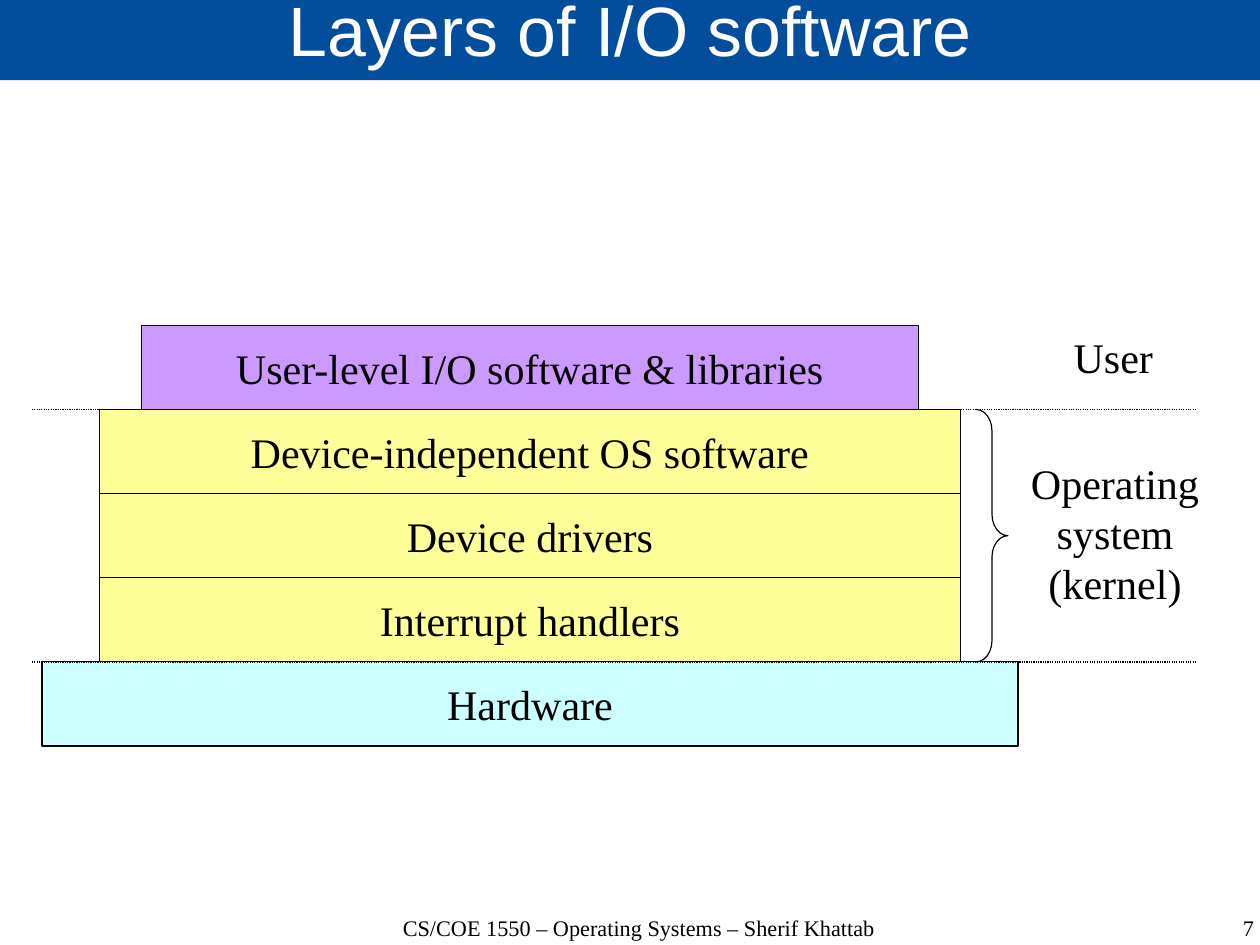
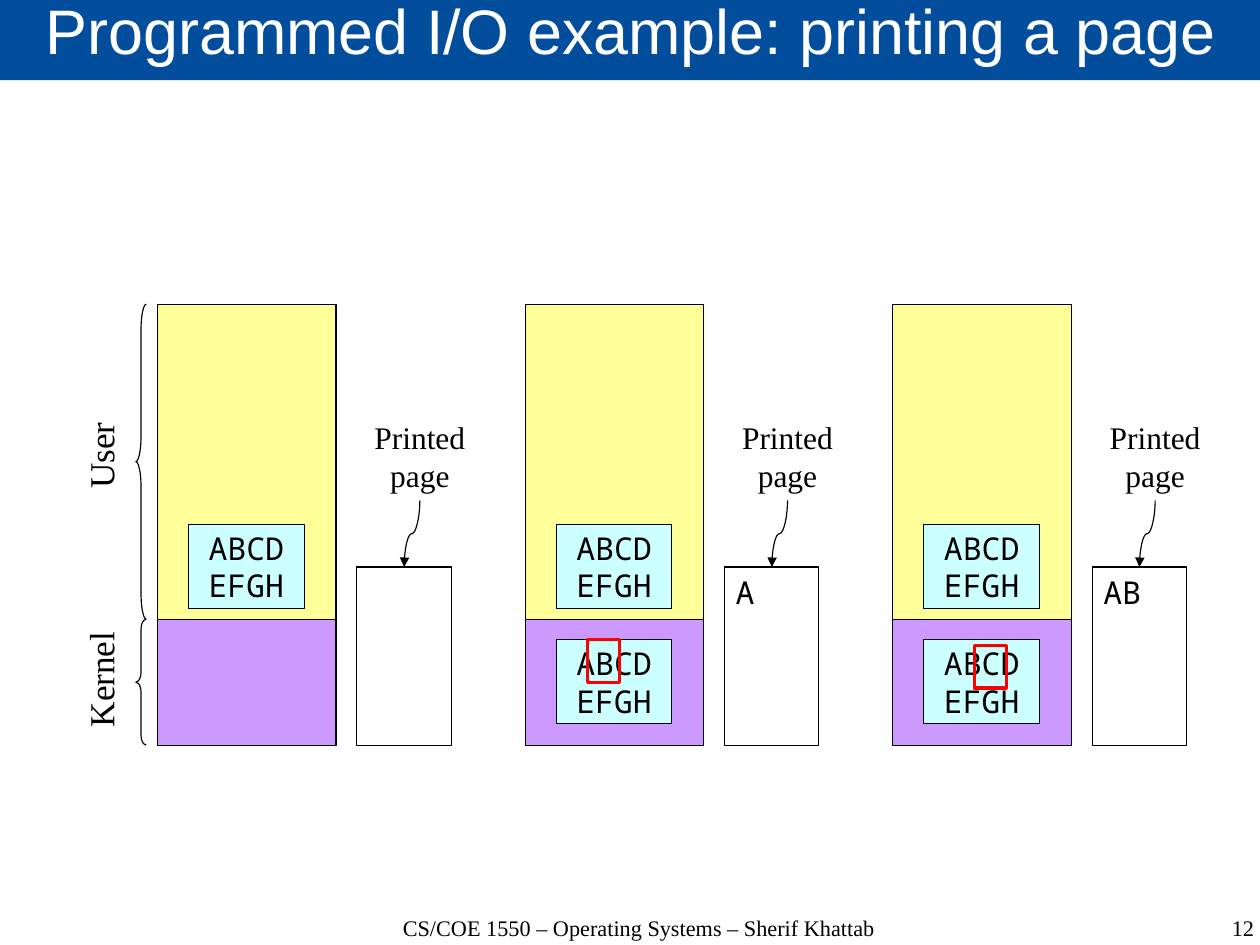
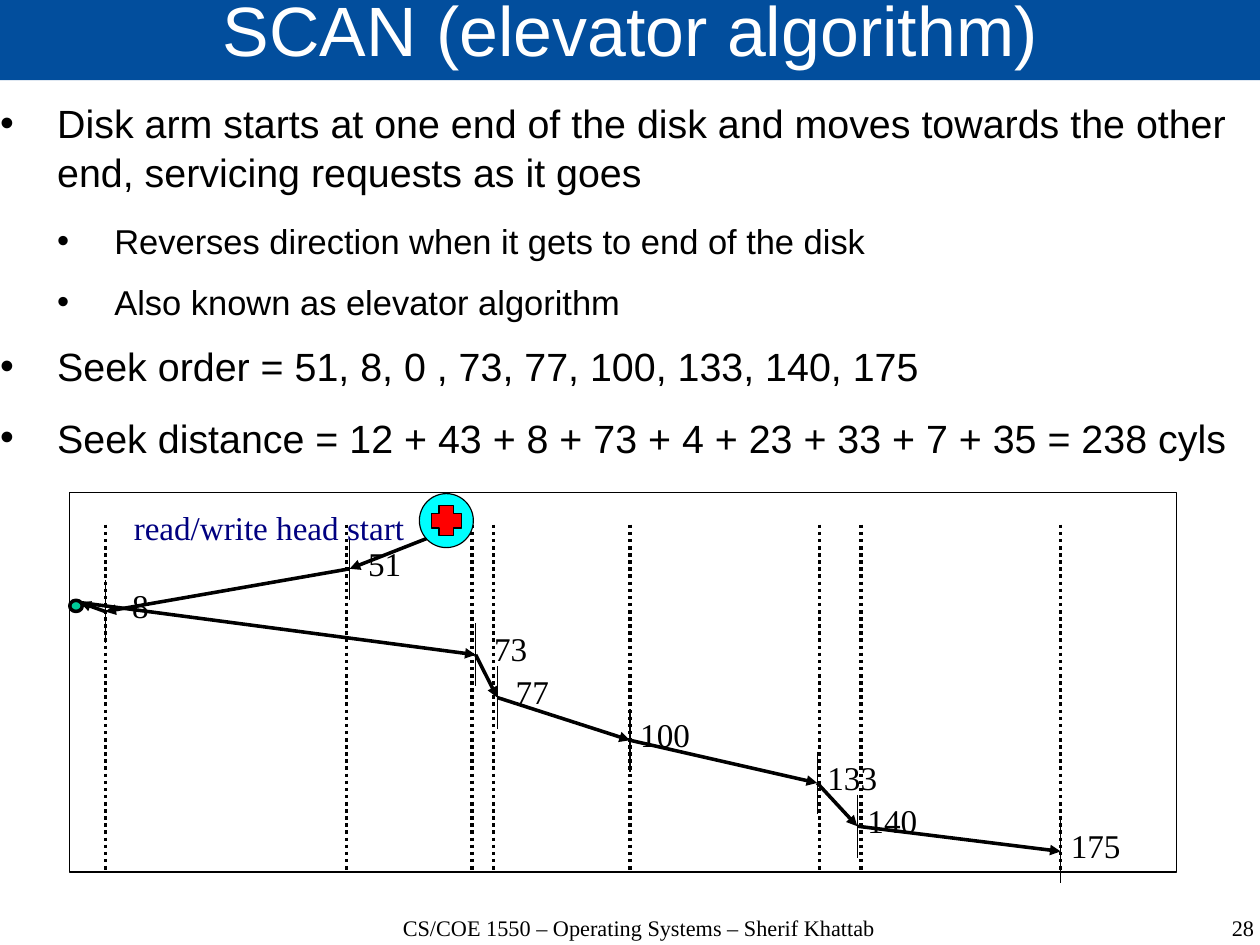
from lxml import etree
from pptx import Presentation
from pptx import util as u
from pptx.dml import color
from pptx.enum import dml, shapes, text
from pptx.oxml import ns

Cm, Pt = u.Cm, u.Pt
SHAPE = shapes.MSO_SHAPE
ALIGN = text.PP_ALIGN
ANCHOR = text.MSO_ANCHOR

BLUE, WHITE, BLACK, NAVY = "024E9D", "FFFFFF", "000000", "000080"
PURPLE, YELLOW, PALE_CYAN = "CC99FF", "FFFF99", "CCFFFF"
RED, CYAN, GREEN = "FF0000", "00FFFF", "00CC99"
SANS, SERIF, MONO = "Arial", "Times New Roman", "Noto Sans Mono"
FOOTER = "CS/COE 1550 – Operating Systems – Sherif Khattab"

LAYERS = [
    ("User-level I/O software & libraries", 17.27, PURPLE),
    ("Device-independent OS software", 19.13, YELLOW),
    ("Device drivers", 19.13, YELLOW),
    ("Interrupt handlers", 19.13, YELLOW),
    ("Hardware", 21.69, PALE_CYAN),
]
LAYER_CENTER, LAYER_TOP, LAYER_HEIGHT = 11.78, 7.23, 1.87

MEMORY = [("User", YELLOW, 6.76, 7, 2.5, 11.57), ("Kernel", PURPLE, 13.76, 2.8, 1, 16.5)]
BUFFER = "ABCD\nEFGH"
STAGES = [("", None), ("A", (1.39, 14.22)), ("AB", (1.81, 14.35))]
STAGE_LEFT, STAGE_PITCH = 3.5, 8.17

BULLETS = [
    (0, "Disk arm starts at one end of the disk and moves towards the other end, "
        "servicing requests as it goes"),
    (1, "Reverses direction when it gets to end of the disk"),
    (1, "Also known as elevator algorithm"),
    (0, "Seek order = 51, 8, 0 , 73, 77, 100, 133, 140, 175"),
    (0, "Seek distance = 12 + 43 + 8 + 73 + 4 + 23 + 33 + 7 + 35 = 238 cyls"),
]
BULLET_STYLES = [(24.8, 14.2), (21.7, 11.4)]
CYLINDER_LINES = [2.34, 7.7, 10.49, 10.97, 14, 18.21, 19.13, 23.57]
REQUESTS = [
    ("51", 7.77, 12.64), ("8", 2.34, 13.59), ("73", 10.57, 14.55), ("77", 11.05, 15.5),
    ("100", 14, 16.45), ("133", 18.16, 17.4), ("140", 19.05, 18.36), ("175", 23.57, 18.92),
]
HEAD_START, DISK_END = (9.5, 11.96), (1.78, 13.39)


def rgb(value):
    return color.RGBColor.from_string(value)


def box(left, top, width, height):
    return Cm(left), Cm(top), Cm(width), Cm(height)


def style(paragraph, size, font=SERIF, ink=BLACK, align=ALIGN.CENTER, spacing=None):
    paragraph.alignment = align
    if spacing:
        paragraph.line_spacing = spacing
    paragraph.font.size = Pt(size)
    paragraph.font.name = font
    paragraph.font.color.rgb = rgb(ink)


def set_frame(frame, wrap=True, anchor=ANCHOR.TOP, inset=None):
    frame.word_wrap = wrap
    frame.auto_size = text.MSO_AUTO_SIZE.NONE
    frame.vertical_anchor = anchor
    if inset is not None:
        frame.margin_left = frame.margin_right = Cm(inset)
        frame.margin_top = frame.margin_bottom = Cm(inset)


def add_label(slide, content, center, top, size, width=2, height=1.2, rotation=0, ink=BLACK):
    shape = slide.shapes.add_textbox(*box(center - width / 2, top, width, height))
    shape.rotation = rotation
    set_frame(shape.text_frame, wrap=False)
    paragraph = shape.text_frame.paragraphs[0]
    paragraph.text = content
    style(paragraph, size, ink=ink)


def add_shape(slide, kind, bounds, fill=None, line=BLACK, width=0.75, adjust=()):
    shape = slide.shapes.add_shape(kind, *box(*bounds))
    shape.shadow.inherit = False
    if fill:
        shape.fill.solid()
        shape.fill.fore_color.rgb = rgb(fill)
    else:
        shape.fill.background()
    shape.line.color.rgb = rgb(line)
    shape.line.width = Pt(width)
    for index, value in enumerate(adjust):
        shape.adjustments[index] = value
    return shape


def add_text_box(slide, bounds, fill, content, size, font, align=ALIGN.CENTER, anchor=ANCHOR.MIDDLE):
    shape = add_shape(slide, SHAPE.RECTANGLE, bounds, fill)
    if content:
        set_frame(shape.text_frame, anchor=anchor)
        paragraph = shape.text_frame.paragraphs[0]
        paragraph.text = content
        style(paragraph, size, font, align=align)


def add_line(slide, start, end, width=0.75, dotted=False, arrow=False,
             kind=shapes.MSO_CONNECTOR.STRAIGHT):
    connector = slide.shapes.add_connector(kind, *map(Cm, start + end))
    connector.line.color.rgb = rgb(BLACK)
    connector.line.width = Pt(width)
    if dotted:
        connector.line.dash_style = dml.MSO_LINE.ROUND_DOT
    properties = connector.element.spPr
    if arrow:
        etree.SubElement(properties.find(ns.qn("a:ln")), ns.qn("a:tailEnd"), type="triangle")
    etree.SubElement(properties, ns.qn("a:effectLst"))
    return connector


def add_falling_curve(slide, start, end):
    (x1, y1), (x2, y2) = start, end
    center_x, center_y = (x1 + x2) / 2, (y1 + y2) / 2
    half_length, half_shift = (y2 - y1) / 2, (x1 - x2) / 2
    curve = add_line(slide, (center_x - half_length, center_y - half_shift),
                     (center_x + half_length, center_y + half_shift),
                     arrow=True, kind=shapes.MSO_CONNECTOR.CURVE)
    curve.element.spPr.find(ns.qn("a:xfrm")).set("rot", "5400000")


def add_slide(presentation, title, number, size=44, layout=5):
    slide = presentation.slides.add_slide(presentation.slide_layouts[layout])
    shape = slide.shapes.title
    shape.left, shape.top, shape.width, shape.height = box(0, -0.05, 28.04, 1.83)
    shape.fill.solid()
    shape.fill.fore_color.rgb = rgb(BLUE)
    set_frame(shape.text_frame, anchor=ANCHOR.MIDDLE, inset=0)
    shape.text_frame.text = title
    style(shape.text_frame.paragraphs[0], size, SANS, WHITE, spacing=0.69)
    for content, left, width, align in [
        (FOOTER, 7.8, 12.8, ALIGN.CENTER),
        (str(number), 21.44, 6.43, ALIGN.RIGHT),
    ]:
        footer = slide.shapes.add_textbox(*box(left, 20.35, width, 0.65))
        set_frame(footer.text_frame, inset=0)
        footer.text_frame.text = content
        style(footer.text_frame.paragraphs[0], 14, align=align, spacing=0.96)
    return slide


def build_layers(presentation):
    slide = add_slide(presentation, "Layers of I/O software", 7)
    for index, (name, width, fill) in enumerate(LAYERS):
        bounds = (LAYER_CENTER - width / 2, LAYER_TOP + index * LAYER_HEIGHT, width, LAYER_HEIGHT)
        add_text_box(slide, bounds, fill, name, 26.5, SERIF)
    kernel_top, kernel_bottom = (LAYER_TOP + count * LAYER_HEIGHT for count in (1, 4))
    add_shape(slide, SHAPE.RIGHT_BRACE, (21.69, kernel_top, 0.71, kernel_bottom - kernel_top),
              adjust=(0.667, 0.5))
    add_label(slide, "Operating\nsystem\n(kernel)", 24.78, 10.03, 26.5, 4.29, 3.66)
    add_label(slide, "User", 24.74, 7.24, 26.5, 2.29, 1.4)
    for y in (kernel_top, kernel_bottom):
        add_line(slide, (0.71, y), (26.6, y), dotted=True)


def build_printing(presentation):
    slide = add_slide(presentation, "Programmed I/O example: printing a page", 12, 39.6)
    for index, (printed, frame) in enumerate(STAGES):
        left = STAGE_LEFT + index * STAGE_PITCH
        for name, fill, top, height, bend, label_top in MEMORY:
            add_shape(slide, SHAPE.RECTANGLE, (left, top, 3.97, height), fill)
        add_text_box(slide, (left + 4.43, 12.6, 2.1, 3.96), WHITE, printed, 19.8, MONO,
                     ALIGN.LEFT, ANCHOR.TOP)
        add_label(slide, "Printed\npage", left + 5.83, 9.17, 19.8, 2.54, 1.95)
        add_falling_curve(slide, (left + 5.83, 11.12), (left + 5.48, 12.6))
        for top in (11.66, 14.22) if frame else (11.66,):
            add_text_box(slide, (left + 0.69, top, 2.57, 1.86), PALE_CYAN, BUFFER, 19.8, MONO)
        if frame:
            add_shape(slide, SHAPE.RECTANGLE, (left + frame[0], frame[1], 0.71, 0.94),
                      line=RED, width=2)
    for name, fill, top, height, bend, label_bottom in MEMORY:
        add_shape(slide, SHAPE.LEFT_BRACE, (3.02, top, 0.23, height), adjust=(bend, 0.5))
        middle = {"User": 10.12, "Kernel": 15.1}[name]
        add_label(slide, name, 2.24, middle - 0.6, 22.1, 2.64, rotation=270)


def fill_bullets(body):
    body.left, body.top, body.width, body.height = box(0, 2.16, 28.04, 7.54)
    set_frame(body.text_frame, inset=0)
    for index, (level, content) in enumerate(BULLETS):
        frame = body.text_frame
        paragraph = frame.add_paragraph() if index else frame.paragraphs[0]
        paragraph.text = content
        paragraph.level = level
        properties = paragraph._p.get_or_add_pPr()
        properties.set("marL", str(Cm(1.27 * (level + 1))))
        properties.set("indent", str(Cm(-1.27)))
        bullet_color = etree.SubElement(properties, ns.qn("a:buClr"))
        etree.SubElement(bullet_color, ns.qn("a:srgbClr"), val=BLACK)
        etree.SubElement(properties, ns.qn("a:buChar"), char="•")
        size, gap = BULLET_STYLES[level]
        paragraph.space_before = Pt(0)
        paragraph.space_after = Pt(gap)
        style(paragraph, size, SANS, align=ALIGN.LEFT, spacing=1.04)


def build_scan(presentation):
    slide = add_slide(presentation, "SCAN (elevator algorithm)", 28, layout=1)
    fill_bullets(slide.placeholders[1])
    for x in CYLINDER_LINES:
        add_line(slide, (x, 11.66), (x, 19.35), 2.25, dotted=True)
    add_shape(slide, SHAPE.RECTANGLE, (1.55, 10.95, 24.59, 8.43))
    for cylinder, x, y in REQUESTS:
        add_line(slide, (x, y - 0.7), (x, y + 0.7))
        add_label(slide, cylinder, x + 0.78, y - 0.7, 20.9)
    add_label(slide, "read/write head start", 5.98, 11.15, 20.9, 6.63, ink=NAVY)
    stops = [(x, y) for cylinder, x, y in REQUESTS]
    route = [HEAD_START, *stops[:2], DISK_END, *stops[2:]]
    for start, end in zip(route, route[1:]):
        add_line(slide, start, end, 2.25, arrow=True)
    add_shape(slide, SHAPE.OVAL, (1.55, 13.34, 0.28, 0.25), GREEN, width=2.25)
    add_shape(slide, SHAPE.OVAL, (9.32, 10.97, 1.2, 1.2), CYAN)
    add_shape(slide, SHAPE.CROSS, (9.59, 11.24, 0.66, 0.66), RED, adjust=(0.25,))


def main():
    presentation = Presentation()
    presentation.slide_width, presentation.slide_height = Cm(28), Cm(21)
    build_layers(presentation)
    build_printing(presentation)
    build_scan(presentation)
    presentation.save("out.pptx")


if __name__ == "__main__":
    main()
